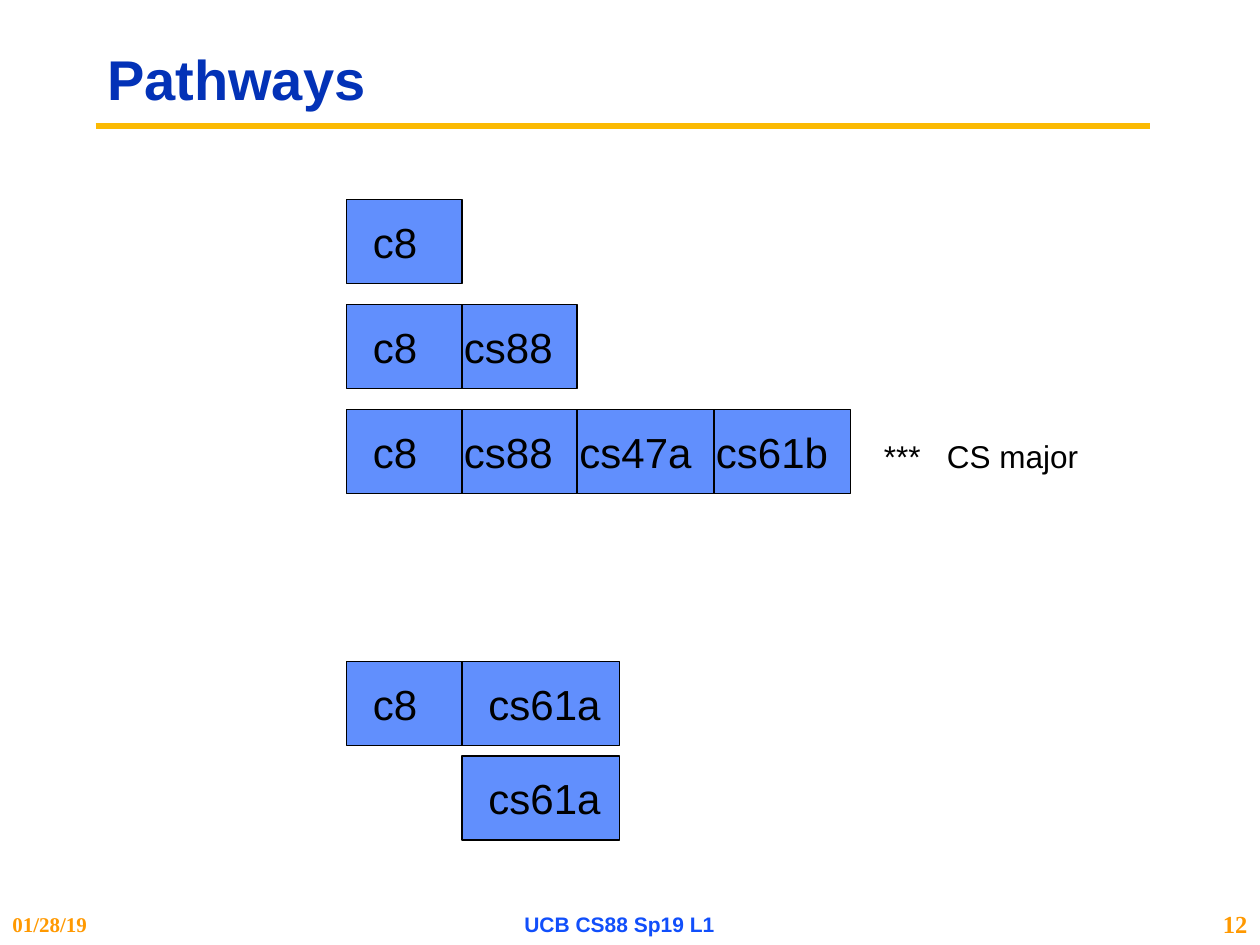
from lxml.etree import SubElement
from pptx import Presentation
from pptx.dml.color import RGBColor
from pptx.enum.shapes import MSO_CONNECTOR, MSO_SHAPE
from pptx.enum.text import MSO_ANCHOR as ANCHOR, MSO_AUTO_SIZE as AUTO, PP_ALIGN as ALIGN
from pptx.oxml.ns import qn
from pptx.util import Pt

C = {"title": "0332B7", "rule": "FBBA03", "box": "618FFD", "ink": "000000",
     "orange": "FF9900", "footer": "114FFB"}

# Course: box width, label offset from the box, label width
COURSES = {"c8": (66, 8, 40), "cs88": (66, -6, 65.5), "cs47a": (78, -6, 79),
           "cs61b": (78, -6, 79), "cs61a": (90, 8, 79)}
# Each pathway: left, top, courses in order
PATHWAYS = [
    (198, 114, ["c8"]),
    (198, 174, ["c8", "cs88"]),
    (198, 234, ["c8", "cs88", "cs47a", "cs61b"]),
    (198, 378, ["c8", "cs61a"]),
    (264, 432, ["cs61a"]),
]
# Remarks beside the third pathway: text, left, width
REMARKS = [("***", 498, 36), ("CS major", 534, 90)]
# Footer line: text, left, width, format
FOOTER = [
    ("01/28/19", 0, 120, dict(font="Times New Roman", size=12, color="orange")),
    ("UCB CS88 Sp19 L1", 240, 228, dict(size=12, color="footer", align=ALIGN.CENTER)),
    ("12", 678, 42, dict(font="Times New Roman", size=14, color="orange", align=ALIGN.RIGHT)),
]
BOX_H = 48


def rgb(name):
    return RGBColor.from_string(C[name])


def write(sp, text, *, size=24, font="Arial", color="ink", bold=False, align=ALIGN.LEFT,
          anchor=ANCHOR.TOP, wrap=True, auto=AUTO.NONE, spacing=None):
    tf = sp.text_frame
    tf.word_wrap, tf.auto_size, tf.vertical_anchor = wrap, auto, anchor
    p = tf.paragraphs[0]
    p.alignment, p.line_spacing = align, spacing
    r = p.add_run()
    r.text = text
    f = r.font
    f.name, f.size, f.bold = font, Pt(size), bold
    f.color.rgb = rgb(color)


def place(*lengths):
    return [Pt(v) for v in lengths]


prs = Presentation()
prs.slide_width, prs.slide_height = place(720, 540)
s = prs.slides.add_slide(prs.slide_layouts[5])

# Title and rule
title = s.shapes.title
title.left, title.top, title.width, title.height = place(54, 18, 606, 58)
write(title, "Pathways", size=32, color="title", bold=True, anchor=ANCHOR.MIDDLE, spacing=0.9)
rule = s.shapes.add_connector(MSO_CONNECTOR.STRAIGHT, *place(54.7, 72, 657.4, 72))
rule.line.color.rgb, rule.line.width = rgb("rule"), Pt(3.75)
SubElement(rule._element.spPr, qn("a:effectLst"))

# Course boxes, each grouped with its label
for x, y, courses in PATHWAYS:
    for course in courses:
        width, offset, label_w = COURSES[course]
        group = s.shapes.add_group_shape().shapes
        box = group.add_shape(MSO_SHAPE.RECTANGLE, *place(x, y, width, BOX_H))
        box.shadow.inherit = False
        box.fill.solid()
        box.fill.fore_color.rgb = rgb("box")
        box.line.color.rgb, box.line.width = rgb("ink"), Pt(1)
        label = group.add_textbox(*place(x + offset, y + 6, label_w, 36))
        write(label, course, wrap=False, auto=AUTO.SHAPE_TO_FIT_TEXT)
        x += width

# Remarks
for text, x, width in REMARKS:
    write(s.shapes.add_textbox(*place(x, 246, width, 29)), text, size=18,
          wrap=False, auto=AUTO.SHAPE_TO_FIT_TEXT)

# Footer
for text, x, width, style in FOOTER:
    write(s.shapes.add_textbox(*place(x, 516, width, 24)), text, bold=True,
          anchor=ANCHOR.MIDDLE, **style)

prs.save("out.pptx")
